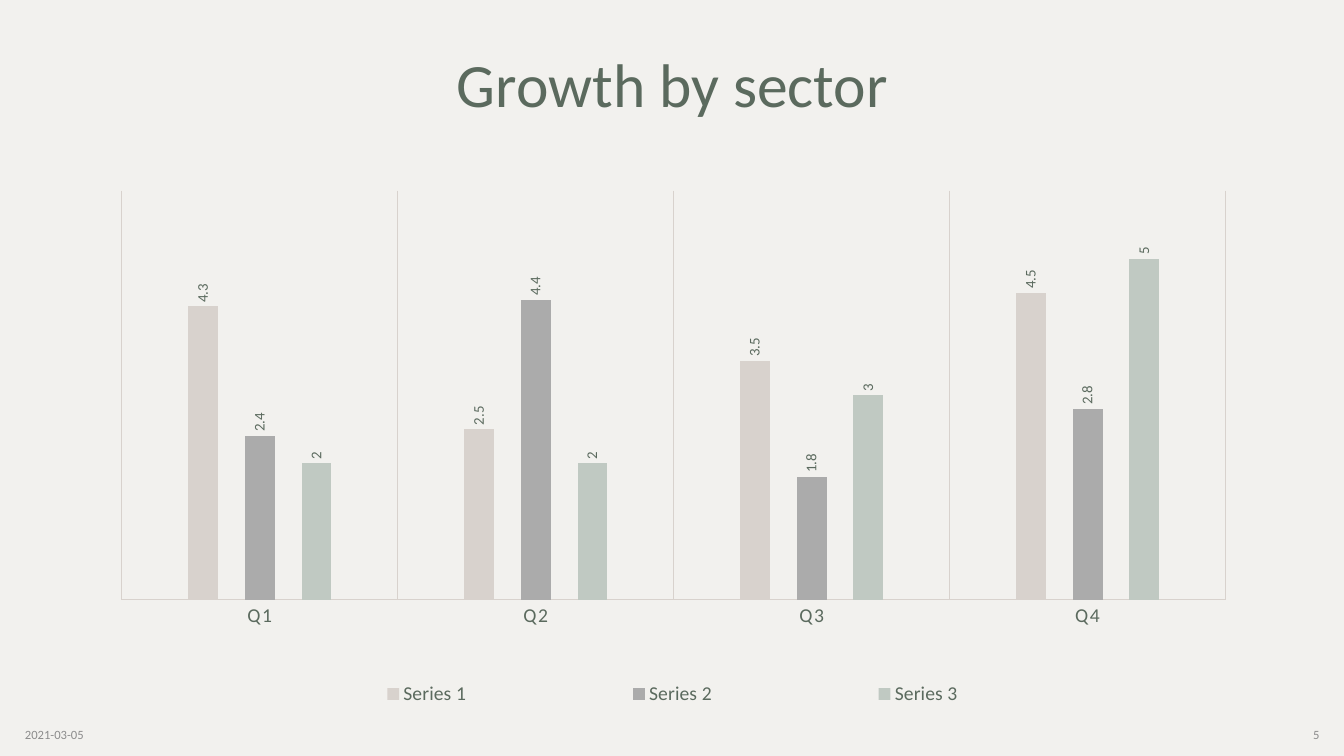
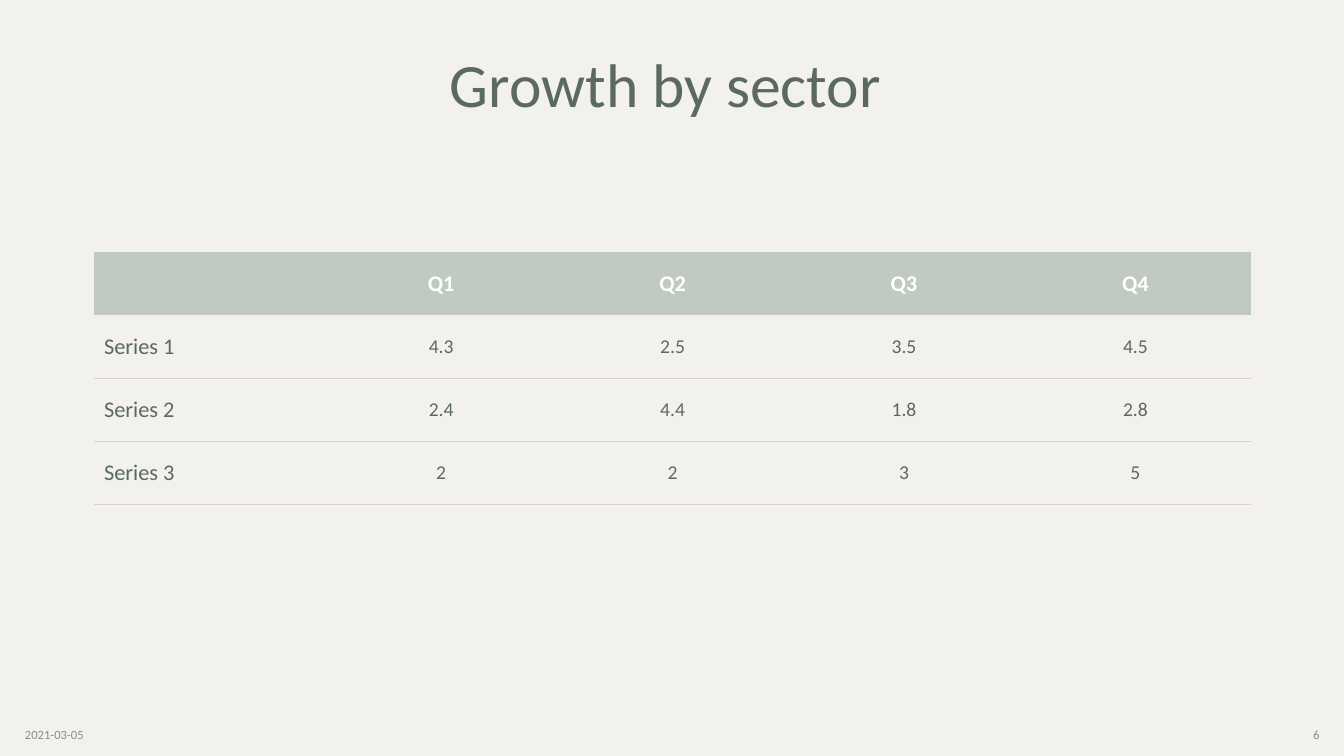
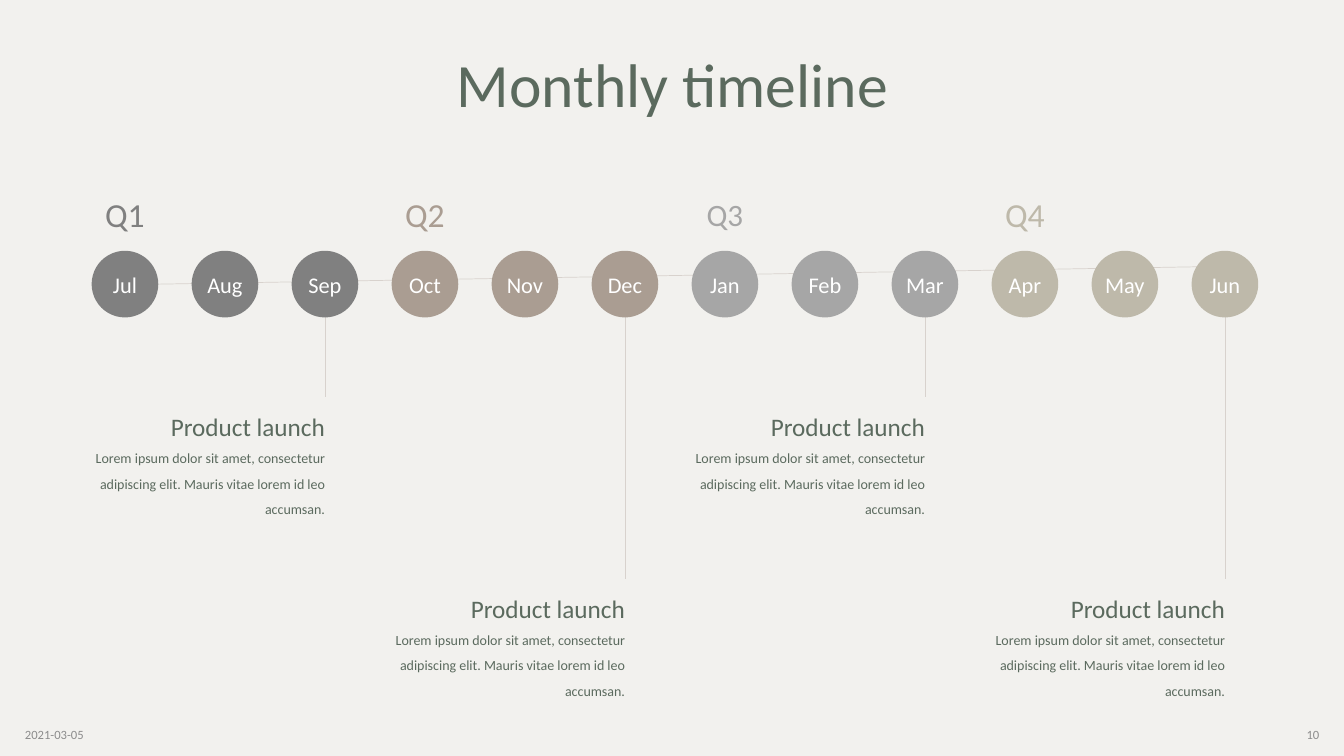
from lxml.etree import SubElement
from pptx import Presentation
from pptx.chart.data import CategoryChartData
from pptx.dml.color import RGBColor
from pptx.enum.chart import XL_CHART_TYPE, XL_LABEL_POSITION, XL_LEGEND_POSITION, XL_TICK_MARK
from pptx.enum.shapes import MSO_CONNECTOR, MSO_SHAPE
from pptx.enum.text import MSO_ANCHOR, MSO_AUTO_SIZE, PP_ALIGN
from pptx.oxml import parse_xml
from pptx.oxml.ns import nsdecls, qn
from pptx.util import Cm, Pt

FONT = "Calibri"
PAPER, INK, RULE, MUTED, WHITE = "F2F1EE", "5B6A5E", "D8D2CD", "8C8C8C", "FFFFFF"
SAGE = "C0C9C2"
PLAIN_TABLE = "{2D5ABB26-0587-4C30-8999-92F81FD0307C}"
LEFT, WIDTH = 2.37, 29.16

QUARTERS = ["Q1", "Q2", "Q3", "Q4"]
SECTORS = [
    ("Series 1", (4.3, 2.5, 3.5, 4.5), RULE),
    ("Series 2", (2.4, 4.4, 1.8, 2.8), "ABABAB"),
    ("Series 3", (2, 2, 3, 5), SAGE),
]
MONTHS = "Jul Aug Sep Oct Nov Dec Jan Feb Mar Apr May Jun".split()
QUARTER_COLORS = ["808080", "AA9D92", "A6A6A6", "BEB9AA"]
QUARTER_SIZES = [24, 24, 22.2, 24]
LAUNCH_TEXT = ("Lorem ipsum dolor sit amet, consectetur adipiscing elit. "
               "Mauris vitae lorem id leo accumsan.")


def rgb(value):
    return RGBColor.from_string(value)


def style_font(font, size, color=INK, bold=False):
    font.name, font.size, font.bold = FONT, Pt(size), bold
    font.color.rgb = rgb(color)


def style_line(line, width, color=RULE):
    line.color.rgb = rgb(color)
    line.width = Pt(width)


def set_layout(parent, index, x, y, w, h, inner=False):
    """Place a chart part at fractions of the chart area."""
    for old in parent.findall(qn("c:layout")):
        parent.remove(old)
    layout = parse_xml(f"<c:layout {nsdecls('c')}><c:manualLayout/></c:layout>")
    settings = [("layoutTarget", "inner")] if inner else []
    settings += [("xMode", "edge"), ("yMode", "edge"), ("x", x), ("y", y), ("w", w), ("h", h)]
    for tag, value in settings:
        SubElement(layout[0], qn(f"c:{tag}")).set("val", str(value))
    parent.insert(index, layout)


class Deck:
    def __init__(self):
        self.prs = Presentation()
        self.prs.slide_width, self.prs.slide_height = Cm(33.87), Cm(19.05)
        fill = self.prs.slide_master.background.fill
        fill.solid()
        fill.fore_color.rgb = rgb(PAPER)

    def new_slide(self, title, number):
        self.slide = self.prs.slides.add_slide(self.prs.slide_layouts[5])
        sp = self.slide.shapes.title
        sp.left, sp.top, sp.width, sp.height = Cm(LEFT), Cm(0.33), Cm(WIDTH), Cm(3.76)
        tf = sp.text_frame
        tf.text = title
        tf.auto_size, tf.vertical_anchor = MSO_AUTO_SIZE.NONE, MSO_ANCHOR.MIDDLE
        p = tf.paragraphs[0]
        p.alignment, p.line_spacing = PP_ALIGN.CENTER, 0.9
        style_font(p.font, 44)
        self.text("2021-03-05", 0.38, 18.01, 7.62, 1.02, 9, MUTED, PP_ALIGN.LEFT)
        self.text(str(number), 25.88, 18.01, 7.62, 1.02, 9, MUTED, PP_ALIGN.RIGHT)

    def text(self, text, x, y, w, h, size, color=INK, align=PP_ALIGN.CENTER):
        tf = self.slide.shapes.add_textbox(Cm(x), Cm(y), Cm(w), Cm(h)).text_frame
        tf.word_wrap, tf.vertical_anchor = True, MSO_ANCHOR.MIDDLE
        p = tf.paragraphs[0]
        p.text, p.alignment = text, align
        style_font(p.font, size, color)
        return p

    def line(self, x1, y1, x2, y2):
        cxn = self.slide.shapes.add_connector(
            MSO_CONNECTOR.STRAIGHT, Cm(x1), Cm(y1), Cm(x2), Cm(y2))
        style_line(cxn.line, 0.5)
        SubElement(cxn.element.spPr, qn("a:effectLst"))

    def disc(self, label, x, y, size, color):
        sp = self.slide.shapes.add_shape(MSO_SHAPE.OVAL, Cm(x), Cm(y), Cm(size), Cm(size))
        sp.shadow.inherit = False
        sp.fill.solid()
        sp.fill.fore_color.rgb = rgb(color)
        sp.line.fill.background()
        tf = sp.text_frame
        tf.margin_left = tf.margin_right = 0
        tf.word_wrap, tf.vertical_anchor = False, MSO_ANCHOR.MIDDLE
        p = tf.paragraphs[0]
        p.text, p.alignment = label, PP_ALIGN.CENTER
        style_font(p.font, 16, WHITE)

    def milestone(self, heading, body, right, y):
        """Add a right-aligned note whose text ends at the given x."""
        w = 6.86
        p = self.text(heading, right - w, y, w, 2.87, 18, align=PP_ALIGN.RIGHT)
        tf = self.slide.shapes[-1].text_frame
        tf.vertical_anchor, tf.margin_right = MSO_ANCHOR.TOP, 0
        p = tf.add_paragraph()
        p.text, p.alignment, p.line_spacing = body, PP_ALIGN.RIGHT, 1.5
        style_font(p.font, 10)

    def column_chart(self, categories, rows, y, h):
        data = CategoryChartData()
        data.categories = categories
        for name, values, _ in rows:
            data.add_series(name, values)
        chart = self.slide.shapes.add_chart(
            XL_CHART_TYPE.COLUMN_CLUSTERED, Cm(LEFT), Cm(y), Cm(WIDTH), Cm(h), data).chart
        chart.has_title = False
        style_font(chart.font, 10)
        plot = chart.plots[0]
        plot.gap_width, plot.overlap, plot.vary_by_categories = 444, -90, False
        for series, (_, _, color) in zip(plot.series, rows):
            series.format.fill.solid()
            series.format.fill.fore_color.rgb = rgb(color)
            labels = series.data_labels
            labels.show_value, labels.position = True, XL_LABEL_POSITION.OUTSIDE_END
            style_font(labels.font, 10.6)
            body = next(labels._element.iter(qn("a:bodyPr")))
            body.set("rot", "-5400000")
            body.set("vert", "horz")

        axis = chart.category_axis
        axis.major_tick_mark = axis.minor_tick_mark = XL_TICK_MARK.NONE
        axis.has_major_gridlines = True
        style_line(axis.major_gridlines.format.line, 0.75)
        style_line(axis.format.line, 0.75)
        style_font(axis.tick_labels.font, 14)
        next(axis._element.iter(qn("a:defRPr"))).set("spc", "100")
        values = chart.value_axis
        values.minimum_scale, values.maximum_scale = 0, 6
        values.has_major_gridlines = values.visible = False

        chart.has_legend = True
        legend = chart.legend
        legend.position, legend.include_in_layout = XL_LEGEND_POSITION.BOTTOM, False
        style_font(legend.font, 14)
        set_layout(legend._element, 1, 0.115, 0.92, 0.77, 0.08)
        plot_area = next(chart._chartSpace.iter(qn("c:plotArea")))
        set_layout(plot_area, 0, 0.024, 0.021, 0.954, 0.763, inner=True)

    def table(self, rows, y, h):
        frame = self.slide.shapes.add_table(
            len(rows), len(rows[0]), Cm(LEFT), Cm(y), Cm(WIDTH), Cm(h))
        next(frame.element.iter(qn("a:tableStyleId"))).text = PLAIN_TABLE
        frame.table.horz_banding = False
        for i, row in enumerate(rows):
            for j, value in enumerate(row):
                self.cell(frame.table.cell(i, j), str(value), i == 0, j == 0)

    def cell(self, cell, text, header, label):
        cell.vertical_anchor = MSO_ANCHOR.MIDDLE
        p = cell.text_frame.paragraphs[0]
        p.text = text
        p.alignment = PP_ALIGN.LEFT if label else PP_ALIGN.CENTER
        style_font(p.font, 16 if header or label else 14, WHITE if header else INK, header)
        if header:
            cell.fill.solid()
            cell.fill.fore_color.rgb = rgb(SAGE)
        else:
            cell.fill.background()
            cell._tc.get_or_add_tcPr().insert(0, parse_xml(
                f'<a:lnB {nsdecls("a")} w="{Pt(0.5)}"><a:solidFill>'
                f'<a:srgbClr val="{RULE}"/></a:solidFill></a:lnB>'))


def add_timeline(deck):
    x0, y, size, pitch = 2.31, 6.32, 1.68, 2.52
    levels = [10, 14.58]
    for q in range(4):
        x = x0 + (3 * q + 2) * pitch + size / 2
        deck.line(x, 7.2, x, levels[q % 2])
    deck.line(3.99, 7.16, 30.91, 6.71)
    for i, month in enumerate(MONTHS):
        deck.disc(month, x0 + i * pitch, y, size, QUARTER_COLORS[i // 3])
    for q, name in enumerate(QUARTERS):
        x = x0 + 3 * q * pitch
        p = deck.text(name, x, 4.75, size, 1.4, QUARTER_SIZES[q], QUARTER_COLORS[q])
        p.line_spacing = 0.9
        deck.milestone("Product launch", LAUNCH_TEXT,
                       x + 2 * pitch + size / 2, levels[q % 2] + 0.24)


def main():
    deck = Deck()
    deck.new_slide("Growth by sector", 5)
    deck.column_chart(QUARTERS, SECTORS, 4.52, 13.51)
    deck.new_slide("Growth by sector ", 6)
    deck.table([["", *QUARTERS]] + [[name, *values] for name, values, _ in SECTORS], 6.35, 6.35)
    deck.new_slide("Monthly timeline", 10)
    add_timeline(deck)
    deck.prs.save("out.pptx")


if __name__ == "__main__":
    main()
